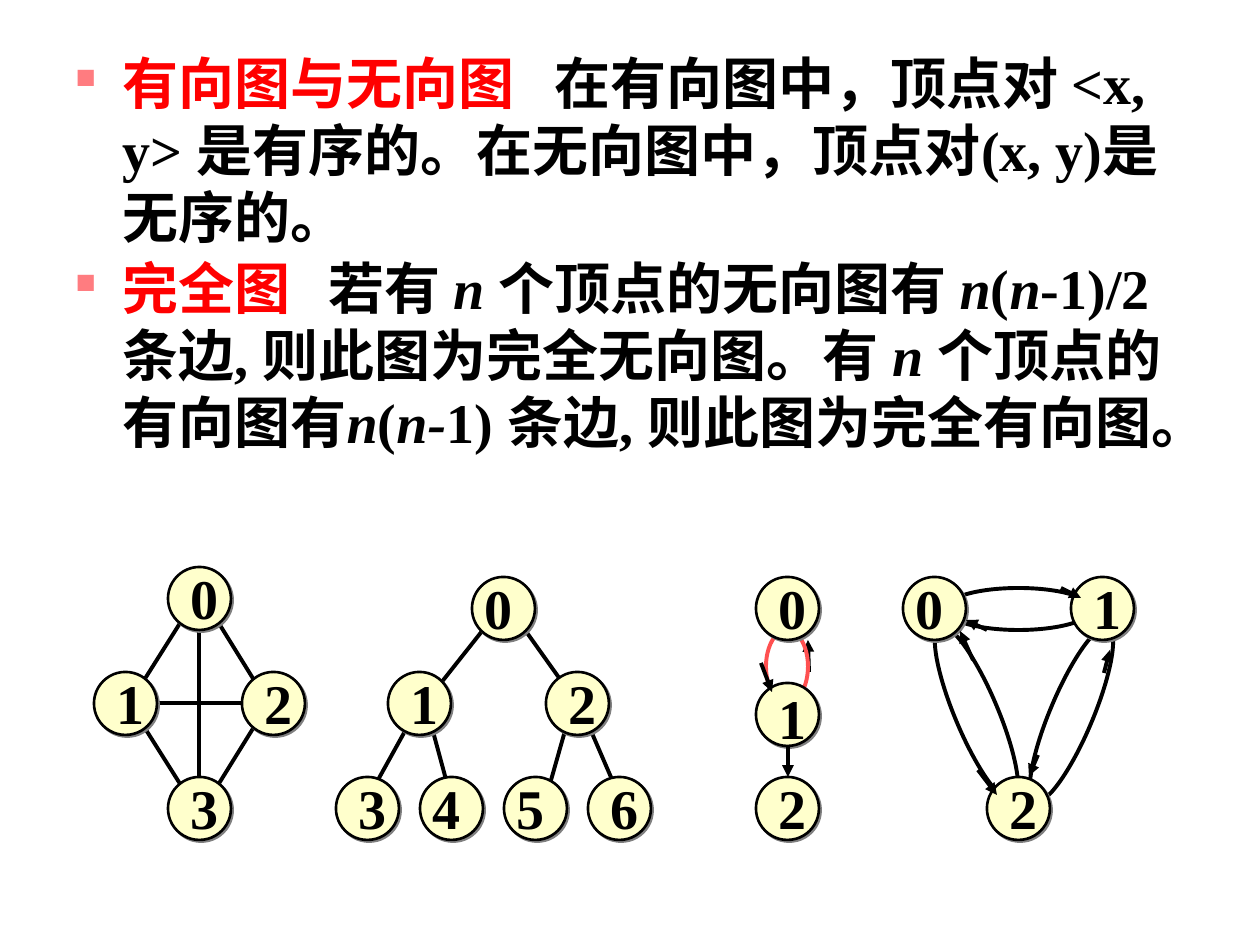
from lxml import etree
from pptx import Presentation, util as u
from pptx.dml import color
from pptx.enum import shapes, text
from pptx.oxml import ns

PX = 914400 // 126
FONT = "Times New Roman"
BLACK, RED = "000000", "FF0000"


def paint(fill, shade):
    fill.solid()
    fill.fore_color.rgb = color.RGBColor.from_string(shade)


def write(paragraph, content, shade=BLACK, italic=False):
    run = paragraph.add_run()
    run.text = content
    run.font.name = FONT
    run.font.size = u.Pt(32)
    run.font.bold = True
    run.font.italic = italic
    paint(run.font.fill, shade)


deck = Presentation()
deck.slide_width, deck.slide_height = 1260 * PX, 945 * PX
slide = deck.slides.add_slide(deck.slide_layouts[6])
canvas = slide.shapes

definitions = [
    (479, [("有向图与无向图", RED, False),
           ("\t在有向图中，顶点对 <x, y> 是有序的。在无向图中，顶点对(x, y)是无序的。", BLACK, False)]),
    (253, [("完全图", RED, False), ("\t若有 ", BLACK, False),
           ("n ", BLACK, True), ("个顶点的无向图有 ", BLACK, False),
           ("n", BLACK, True), ("(", BLACK, False), ("n", BLACK, True),
           ("-1)/2 条边, 则此图为完全无向图。有 ", BLACK, False),
           ("n ", BLACK, True), ("个顶点的有向图有", BLACK, False),
           ("n", BLACK, True), ("(", BLACK, False), ("n-", BLACK, True),
           ("1) 条边, 则此图为完全有向图。", BLACK, False)]),
]
body = canvas.add_textbox(63 * PX, 42 * PX, 1113 * PX, 494 * PX).text_frame
body.word_wrap = True
for index, (tab, pieces) in enumerate(definitions):
    paragraph = body.add_paragraph() if index else body.paragraphs[0]
    if index:
        paragraph.space_before = u.Pt(2)
    props = paragraph._p.get_or_add_pPr()
    props.set("marL", str(47 * PX))
    props.set("indent", str(-47 * PX))
    bullet_color = etree.SubElement(props, ns.qn("a:buClr"))
    etree.SubElement(bullet_color, ns.qn("a:srgbClr"), val="FF7C80")
    etree.SubElement(props, ns.qn("a:buSzPct"), val="50000")
    etree.SubElement(props, ns.qn("a:buChar"), char="■")
    tabs = etree.SubElement(props, ns.qn("a:tabLst"))
    etree.SubElement(tabs, ns.qn("a:tab"), pos=str(tab * PX), algn="l")
    for content, shade, italic in pieces:
        write(paragraph, content, shade=shade, italic=italic)

arcs = [
    (766, 630, 42, 73, 0, "FF5050"),
    (1050, 620, 43, 189, 22.8, BLACK),
    (955, 619, 43, 189, 337.2, BLACK),
    (945, 588, 147, 42, 0, BLACK),
]
for x, y, width, height, angle, shade in arcs:
    arc = canvas.add_shape(shapes.MSO_SHAPE.OVAL, x * PX, y * PX, width * PX, height * PX)
    arc.rotation = angle
    arc.shadow.inherit = False
    arc.fill.background()
    paint(arc.line.fill, shade)
    arc.line.width = u.Pt(2.25)

vertices = [
    ("0", 168, 567, 10, -10), ("1", 94, 672, 10, -10),
    ("2", 242, 672, 10, -10), ("3", 168, 777, 10, -10),
    ("0", 472, 577, 0, -10), ("1", 388, 672, 10, -10),
    ("2", 546, 672, 10, -10), ("3", 336, 777, 10, -10),
    ("4", 420, 777, 0, -10), ("5", 504, 777, 0, -10),
    ("6", 588, 777, 10, -10),
    ("0", 756, 577, 10, -10), ("1", 756, 683, 10, -6),
    ("2", 756, 777, 10, -10),
    ("0", 903, 577, 0, -10), ("1", 1071, 577, 10, -10),
    ("2", 987, 777, 10, -10),
]
for number, x, y, shift_x, shift_y in vertices:
    vertex = canvas.add_shape(shapes.MSO_SHAPE.OVAL, x * PX, y * PX, 63 * PX, 63 * PX)
    paint(vertex.fill, "FFFFCC")
    paint(vertex.line.fill, BLACK)
    vertex.line.width = u.Pt(1.5)
    vertex.shadow.inherit = False
    effects = vertex._element.spPr.find(ns.qn("a:effectLst"))
    shadow = etree.SubElement(effects, ns.qn("a:outerShdw"), dist=str(u.Pt(1.4)),
                              dir="2700000", algn="ctr", rotWithShape="0")
    etree.SubElement(shadow, ns.qn("a:srgbClr"), val="808080")

    label = canvas.add_textbox((x + shift_x) * PX, (y + shift_y) * PX, 53 * PX, 81 * PX).text_frame
    label.word_wrap = False
    label.auto_size = text.MSO_AUTO_SIZE.SHAPE_TO_FIT_TEXT
    write(label.paragraphs[0], number)

edges = [
    (136, 714, 189, 798), (210, 609, 262, 693), (262, 714, 210, 798),
    (189, 609, 136, 693), (147, 703, 262, 703), (199, 620, 199, 809),
    (525, 630, 577, 703), (567, 724, 546, 798), (588, 724, 620, 798),
    (483, 630, 441, 683), (431, 724, 451, 798), (409, 724, 368, 798),
]
back_arrows = [(809, 672, 808, 640)]
front_arrows = [
    (788, 746, 788, 777), (1061, 588, 1081, 598), (987, 630, 966, 620),
    (978, 770, 997, 795), (973, 660, 960, 631), (1038, 755, 1029, 776),
    (1104, 673, 1110, 650), (761, 663, 772, 692),
]
for ends in edges + back_arrows + front_arrows:
    link = canvas.add_connector(shapes.MSO_CONNECTOR.STRAIGHT, *(end * PX for end in ends))
    paint(link.line.fill, BLACK)
    link.line.width = u.Pt(2.25)
    etree.SubElement(link._element.spPr, ns.qn("a:effectLst"))
    if ends not in edges:
        etree.SubElement(link.line._get_or_add_ln(), ns.qn("a:tailEnd"), type="triangle")
    if ends not in front_arrows:
        canvas._spTree.insert(2, link._element)

deck.save("out.pptx")
